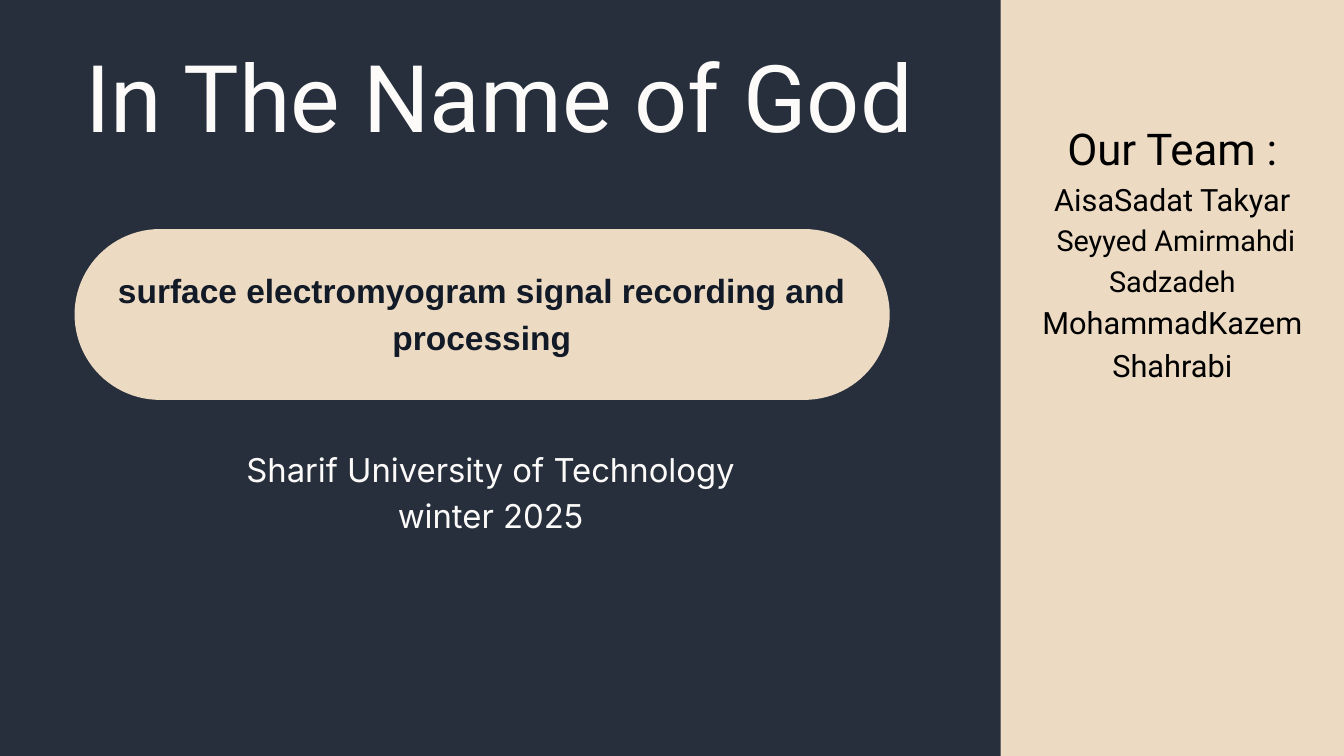
from collections import namedtuple

from pptx import Presentation
from pptx.dml.color import RGBColor
from pptx.enum.shapes import MSO_SHAPE
from pptx.enum.text import MSO_ANCHOR, MSO_AUTO_SIZE, PP_ALIGN
from pptx.util import Inches, Pt

RECTANGLE = MSO_SHAPE.RECTANGLE
ROUNDED = MSO_SHAPE.ROUNDED_RECTANGLE
CENTER = PP_ALIGN.CENTER
TOP = MSO_ANCHOR.TOP
GROW = MSO_AUTO_SIZE.SHAPE_TO_FIT_TEXT

WIDTH, HEIGHT = 20, 11.25
COLUMN, ROW = WIDTH / 100, HEIGHT / 100

NAVY, SAND, INK = "272F3D", "ECDAC2", "121A27"
CREAM, BLACK = "FCFBF9", "000000"

Box = namedtuple("Box", "left top width height")
Line = namedtuple("Line", "text size spacing")


def color(value):
    return RGBColor.from_string(value)


def inside(box, left, top, width, height):
    return Box(box.left + left, box.top + top, width, height)


def lengths(box):
    return (Inches(box.left * COLUMN), Inches(box.top * ROW),
            Inches(box.width * COLUMN), Inches(box.height * ROW))


def add_filled(slide, kind, box, fill):
    shape = slide.shapes.add_shape(kind, *lengths(box))
    shape.shadow.inherit = False
    shape.fill.solid()
    shape.fill.fore_color.rgb = color(fill)
    shape.line.fill.background()
    return shape


def add_text(slide, box, lines, font_name, text_color, bold=False):
    frame = slide.shapes.add_textbox(*lengths(box)).text_frame
    frame.word_wrap = True
    frame.auto_size = GROW
    frame.vertical_anchor = TOP
    frame.margin_left = frame.margin_right = 0
    frame.margin_top = frame.margin_bottom = 0
    frame.text = "\n".join(line.text for line in lines)
    for paragraph, line in zip(frame.paragraphs, lines):
        paragraph.alignment = CENTER
        paragraph.line_spacing = Pt(line.spacing)
        for run in paragraph.runs:
            run.font.name = font_name
            run.font.size = Pt(line.size)
            run.font.bold = bold
            run.font.color.rgb = color(text_color)


def add_title_panel(slide, box):
    bleed = inside(box, -2.7, -3, box.width + 2.7, box.height + 6)
    add_filled(slide, RECTANGLE, bleed, NAVY)
    pill = add_filled(slide, ROUNDED, inside(box, 5.55, 30.3, 60.65, 22.6), SAND)
    pill.adjustments[0] = 0.5
    add_text(slide, inside(box, 1.8, 34.85, 68.1, 12.45),
             [Line("surface electromyogram signal recording and processing", 35.9, 50.3)],
             "Arial", INK, bold=True)
    add_text(slide, inside(box, 12.1, 58.67, 48.8, 12),
             [Line("Sharif University of Technology", 35.2, 49.2),
              Line("winter 2025", 35.2, 49.2)],
             "Inter", CREAM)
    add_text(slide, inside(box, 1.8, 2.75, 70.7, 16.6),
             [Line("In The Name of God", 100, 140)], "Roboto", CREAM)


def add_team_panel(slide, box):
    add_text(slide, inside(box, 0, 14.93, box.width, 35.4),
             [Line("Our Team :", 46.9, 65.7),
              Line("AisaSadat Takyar", 32.9, 46.1),
              Line(" Seyyed Amirmahdi Sadzadeh", 30.9, 43.3),
              Line("MohammadKazem Shahrabi", 32.9, 46.1)],
             "Roboto", BLACK)


def main():
    presentation = Presentation()
    presentation.slide_width = Inches(WIDTH)
    presentation.slide_height = Inches(HEIGHT)
    slide = presentation.slides.add_slide(presentation.slide_layouts[6])
    slide.background.fill.solid()
    slide.background.fill.fore_color.rgb = color(SAND)
    split = 74.45
    add_title_panel(slide, Box(0, 0, split, 100))
    add_team_panel(slide, Box(split, 0, 100 - split, 100))
    presentation.save("out.pptx")


if __name__ == "__main__":
    main()
